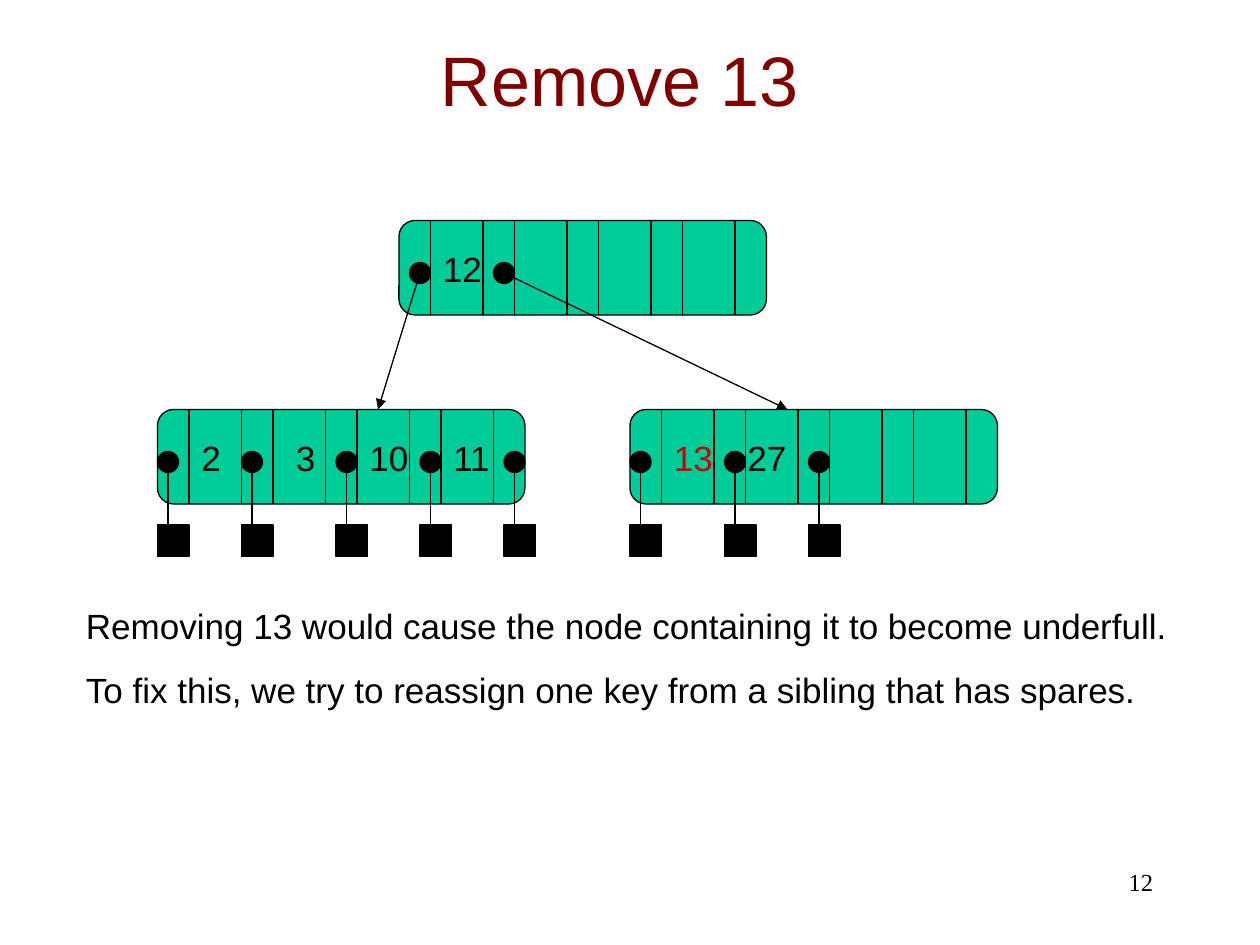
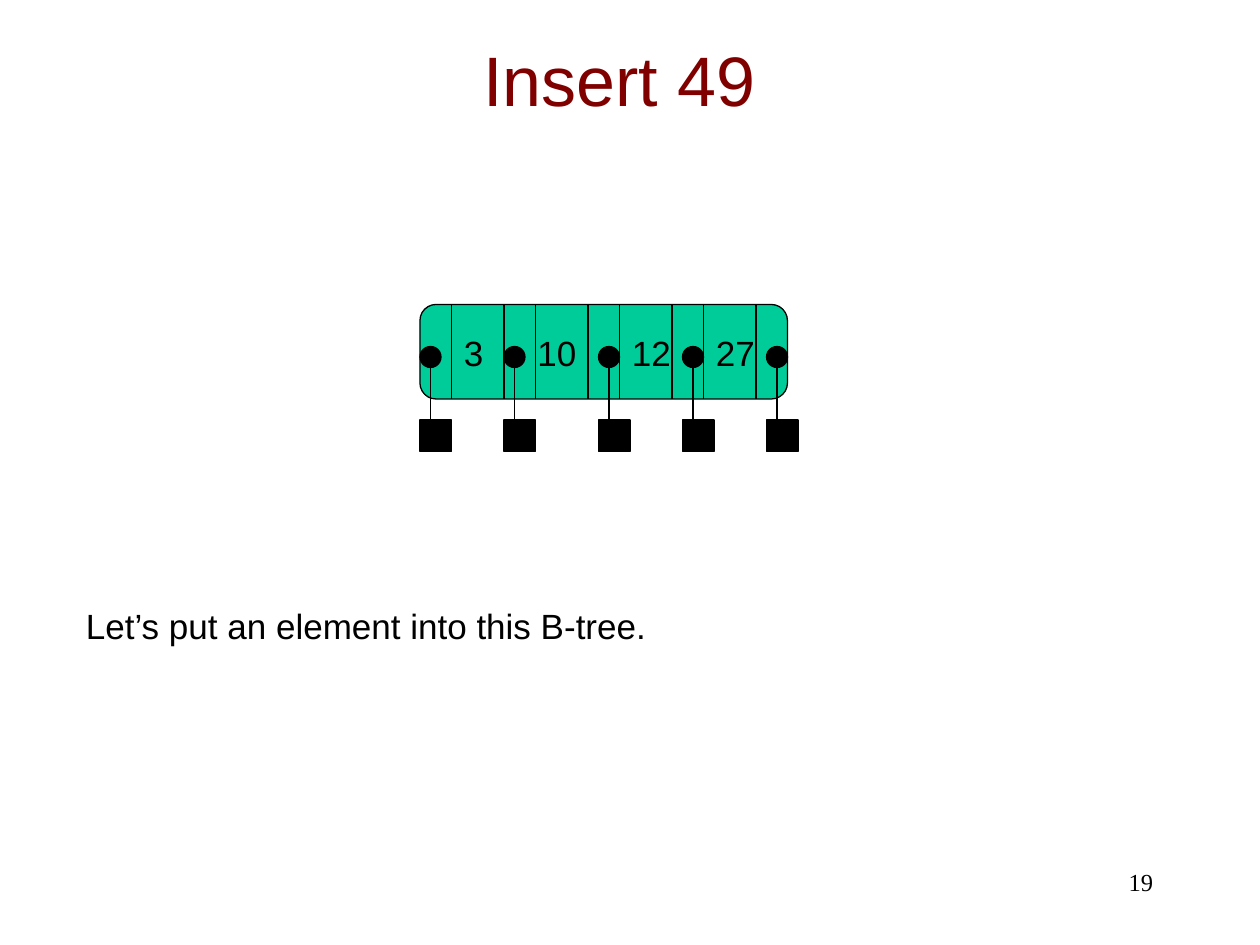
from lxml.etree import SubElement
from pptx import Presentation
from pptx.dml.color import RGBColor
from pptx.enum.shapes import MSO_CONNECTOR, MSO_SHAPE
from pptx.enum.text import MSO_ANCHOR, MSO_AUTO_SIZE, PP_ALIGN
from pptx.oxml.ns import qn
from pptx.util import Inches, Pt

WIDE, HIGH = Inches(10), Inches(7.5)
UNIT = WIDE / 120  # the slide is a grid of 120 columns by 90 rows
BLACK, GREEN, MAROON, RED = "000000", "00CC99", "800000", "CC0000"
NODE_W, NODE_H, SLOT = 35, 9, 8.4
EDGES = (3, 8, 11, 16, 19, 24, 27, 32)
DOTS = (0, 8, 17, 25, 33)
DOT, LEAF = 2, 3


def color(code):
    return RGBColor.from_string(code)


def grid(*cells):
    return [round(cell * UNIT) for cell in cells]


def write(para, text, size, tint=BLACK, font="Arial"):
    run = para.add_run()
    run.text = text
    run.font.size, run.font.name = Pt(size), font
    run.font.color.rgb = color(tint)


def add_text(slide, box, wrap=True):
    """Add an empty text box and return its frame."""
    frame = slide.shapes.add_textbox(*grid(*box)).text_frame
    frame.word_wrap = wrap
    return frame


def add_form(slide, kind, box, fill=BLACK):
    form = slide.shapes.add_shape(kind, *grid(*box))
    form.shadow.inherit = False
    form.fill.solid()
    form.fill.fore_color.rgb = color(fill)
    form.line.color.rgb = color(BLACK)
    form.line.width = Pt(0.75)
    return form


def add_line(slide, start, end, arrow=False):
    line = slide.shapes.add_connector(
        MSO_CONNECTOR.STRAIGHT, *grid(*start, *end))
    line.line.color.rgb = color(BLACK)
    line.line.width = Pt(0.75)
    if arrow:
        SubElement(line.line._ln, qn("a:tailEnd"), type="triangle")
    SubElement(line._element.spPr, qn("a:effectLst"))


def add_node(slide, left, top, keys):
    """Draw a node with its slots; keys are (column, text, colour)."""
    node = add_form(slide, MSO_SHAPE.ROUNDED_RECTANGLE,
                    (left, top, NODE_W, NODE_H), GREEN)
    node.adjustments[0] = 0.17
    for edge in EDGES:
        add_line(slide, (left + edge, top), (left + edge, top + NODE_H))
    for col, key, tint in keys:
        width = 2.4 + 1.9 * len(key)
        frame = add_text(slide, (left + col, top + 2, width, 5.3), False)
        write(frame.paragraphs[0], key, 20, tint)


def add_link(slide, left, top, end):
    """Draw a pointer dot and its arrow to the given grid point."""
    add_form(slide, MSO_SHAPE.OVAL, (left, top, DOT, DOT))
    add_line(slide, (left + DOT / 2, top + DOT / 2), end, arrow=True)


def add_leaves(slide, left, top, cols):
    for col in cols:
        spot = left + col
        add_link(slide, spot, top + 4, (spot + DOT / 2, top + 13))
        add_form(slide, MSO_SHAPE.RECTANGLE, (spot, top + 11, LEAF, LEAF))


def add_notes(slide, box, lines):
    frame = add_text(slide, box)
    for place, line in enumerate(lines):
        para = frame.add_paragraph() if place else frame.paragraphs[0]
        if place:
            para.space_before = Pt(12.5)
        write(para, line, 20)


def add_page(deck, title, number):
    slide = deck.slides.add_slide(deck.slide_layouts[5])
    head = slide.shapes.title
    head.left, head.top, head.width, head.height = grid(8, 2, 102, 11)
    frame = head.text_frame
    frame.auto_size = MSO_AUTO_SIZE.NONE
    frame.vertical_anchor = MSO_ANCHOR.MIDDLE
    frame.paragraphs[0].alignment = PP_ALIGN.CENTER
    write(frame.paragraphs[0], title, 40, MAROON)
    foot = add_text(slide, (86, 82, 25, 6)).paragraphs[0]
    foot.alignment = PP_ALIGN.RIGHT
    write(foot, number, 14, font="Times New Roman")
    return slide


def draw_remove(deck):
    slide = add_page(deck, "Remove 13", "12")
    root, low, high = (38, 21), (15, 39), (60, 39)
    add_node(slide, *low, [(3, "2", BLACK), (12, "3", BLACK),
                           (19, "10", BLACK), (27, "11", BLACK)])
    add_node(slide, *root, [(3, "12", BLACK)])
    add_node(slide, *high, [(3, "13", RED), (10, "27", BLACK)])
    add_leaves(slide, *low, DOTS)
    add_leaves(slide, *high, (0, 9, 17))
    for col, child, shift in ((1, low, 21), (9, high, 15)):
        add_link(slide, root[0] + col, root[1] + 4,
                 (child[0] + shift, child[1]))
    add_notes(slide, (7, 57, 107, 17.4), [
        "Removing 13 would cause the node containing it to become underfull.",
        "To fix this, we try to reassign one key from a sibling that has spares.",
    ])


def draw_insert(deck):
    slide = add_page(deck, "Insert 49", "19")
    root = (40, 29)
    add_node(slide, *root, [(3, "3", BLACK), (10, "10", BLACK),
                            (19, "12", BLACK), (27, "27", BLACK)])
    add_leaves(slide, *root, DOTS)
    add_notes(slide, (7, 57, 109, 5.3),
              ["Let’s put an element into this B-tree."])


def main():
    deck = Presentation()
    deck.slide_width, deck.slide_height = WIDE, HIGH
    draw_remove(deck)
    draw_insert(deck)
    deck.save("out.pptx")


if __name__ == "__main__":
    main()
